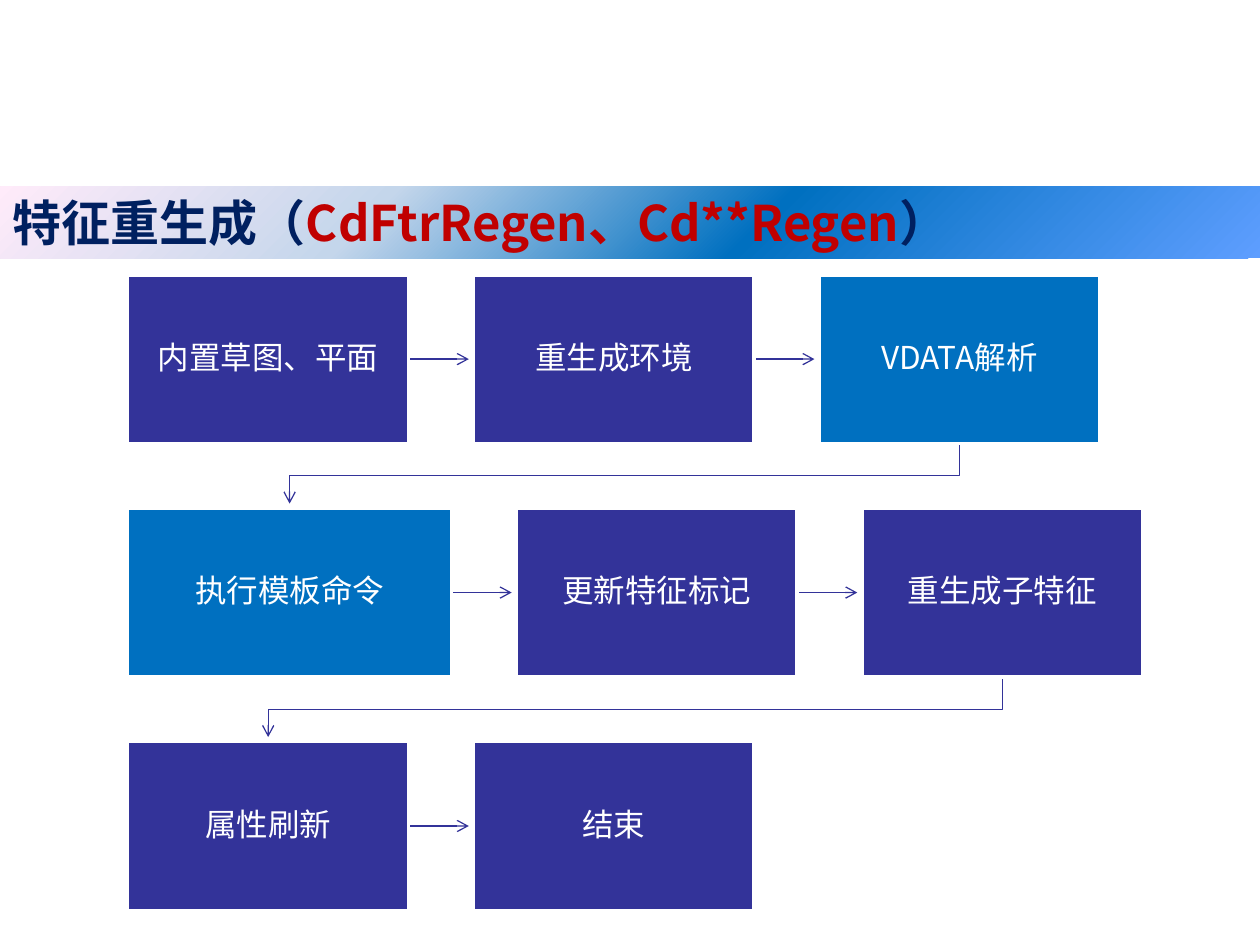
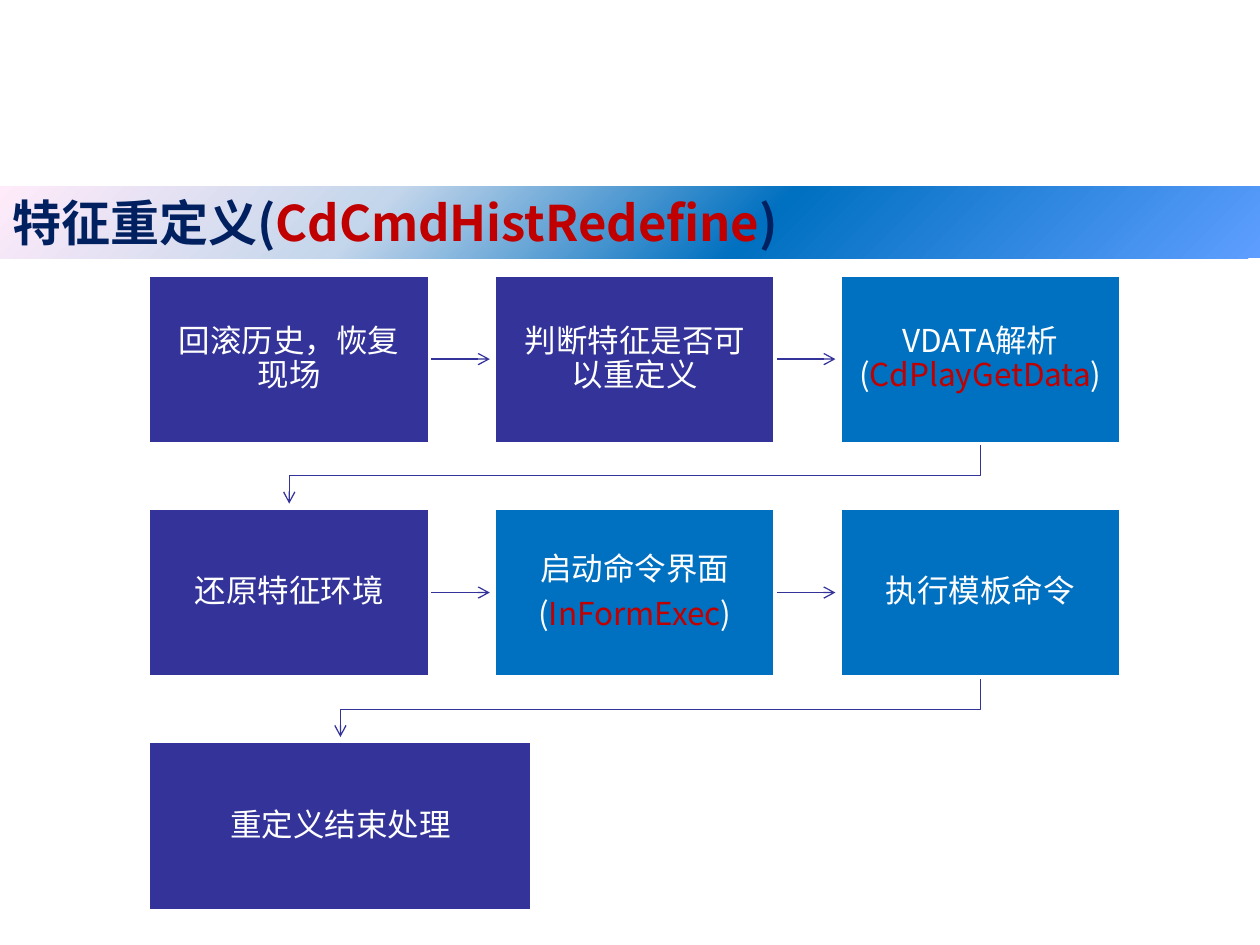
from lxml.etree import SubElement
from pptx import Presentation
from pptx.dml.color import RGBColor
from pptx.enum.shapes import MSO_CONNECTOR, MSO_SHAPE
from pptx.enum.text import MSO_ANCHOR, PP_ALIGN
from pptx.oxml.ns import qn
from pptx.util import Pt

# Colours
WHITE = RGBColor(0xFF, 0xFF, 0xFF)
INDIGO = RGBColor(0x33, 0x33, 0x99)
BLUE = RGBColor(0x00, 0x70, 0xC0)
NAVY = RGBColor(0x00, 0x20, 0x60)
RED = RGBColor(0xC0, 0x00, 0x00)
SKY = RGBColor(0x5E, 0x9E, 0xFF)
PALE = RGBColor(0xC4, 0xD6, 0xEB)
PINK = RGBColor(0xFF, 0xEB, 0xFA)
STOPS = ((0, SKY), (40, BLUE), (70, PALE), (100, PINK))

# Shared formats
FONT = "Noto Sans CJK SC"
TITLE = {"size": Pt(28), "bold": True, "name": FONT}
LABEL = {"size": Pt(18), "name": FONT}
STEP = {"alignment": PP_ALIGN.CENTER, "line_spacing": 0.9, "space_after": Pt(6.3)}
INSET = Pt(10.2)
FRAME = {"word_wrap": True, "vertical_anchor": MSO_ANCHOR.MIDDLE}
PADS = {"margin_left": INSET, "margin_right": INSET,
        "margin_top": INSET, "margin_bottom": INSET}

# Sizes in points
BAND = (0, 106.6, 720, 41)
WIDE, HIGH, GAP = 160.5, 96.4, 37
TIP = 2.6  # space between an arrow tip and the next box
TOP = 157


def style(item, values):
    for key, value in values.items():
        setattr(item, key, value)


def write(para, text, font, color):
    """Write text; the parts between bars are red."""
    for index, part in enumerate(text.split("|")):
        if part:
            run = para.add_run()
            run.text = part
            style(run.font, font)
            run.font.color.rgb = RED if index % 2 else color
            SubElement(run.font._element, qn("a:ea"), typeface=FONT)


def rect(slide, left, top, width, height):
    shape = slide.shapes.add_shape(
        MSO_SHAPE.RECTANGLE, Pt(left), Pt(top), Pt(width), Pt(height))
    shape.shadow.inherit = False
    style(shape.text_frame, FRAME)
    return shape


def title(slide, text, box):
    band = rect(slide, *box)
    band.line.fill.background()
    # Four-stop gradient
    band.fill.gradient()
    band.fill.gradient_angle = 135
    stops = band._element.spPr.find(".//" + qn("a:gsLst"))
    stops.clear()
    for pos, color in STOPS:
        stop = SubElement(stops, qn("a:gs"), pos=str(pos * 1000))
        SubElement(stop, qn("a:srgbClr"), val=str(color))
    para = band.text_frame.paragraphs[0]
    para.alignment = PP_ALIGN.LEFT
    write(para, text, TITLE, NAVY)


def step(slide, text, color, box):
    shape = rect(slide, *box)
    shape.fill.solid()
    shape.fill.fore_color.rgb = color
    shape.line.color.rgb = WHITE
    shape.line.width = Pt(2)
    frame = shape.text_frame
    style(frame, PADS)
    for index, words in enumerate(text.split("\n")):
        para = frame.add_paragraph() if index else frame.paragraphs[0]
        style(para, STEP)
        write(para, words, LABEL, WHITE)
    return shape


def tip(line, box):
    """Give a line its colour and arrowhead, behind the box it leaves."""
    line.line.color.rgb = INDIGO
    line.line.width = Pt(0.75)
    SubElement(line.line._get_or_add_ln(), qn("a:tailEnd"), type="arrow")
    box._element.addprevious(line._element)


def arrow(slide, box):
    x, y = box.left + box.width, box.top + box.height // 2
    line = slide.shapes.add_connector(
        MSO_CONNECTOR.STRAIGHT, x, y, x + Pt(GAP - TIP), y)
    line.begin_connect(box, 3)
    SubElement(line._element.spPr, qn("a:effectLst"))
    tip(line, box)
    # The effect list belongs after the line format
    props = line._element.spPr
    props.append(props.find(qn("a:effectLst")))


def elbow(slide, box, goal):
    x, y = box.left + box.width // 2, box.top + box.height
    end = goal.left + goal.width // 2
    turn = y + Pt(GAP / 2)
    build = slide.shapes.build_freeform(x, y)
    build.add_line_segments(
        [(x, turn), (end, turn), (end, goal.top - Pt(TIP))], close=False)
    line = build.convert_to_shape()
    line.fill.background()
    line.shadow.inherit = False
    tip(line, box)


def flow(slide, rows, left, top):
    last = None
    for index, row in enumerate(rows):
        x, y = left, top + index * (HIGH + GAP)
        for place, (text, color, *width) in enumerate(row):
            wide = width[0] if width else WIDE
            box = step(slide, text, color, (x, y, wide, HIGH))
            if place:
                arrow(slide, last)
            elif last is not None:
                elbow(slide, last, box)
            last = box
            x += wide + GAP


REGEN = (
    (("内置草图、平面", INDIGO), ("重生成环境", INDIGO), ("VDATA解析", BLUE)),
    (("执行模板命令", BLUE, 185), ("更新特征标记", INDIGO), ("重生成子特征", INDIGO)),
    (("属性刷新", INDIGO), ("结束", INDIGO)),
)
REDEF = (
    (("回滚历史，恢复现场", INDIGO), ("判断特征是否可以重定义", INDIGO),
     ("VDATA解析(|CdPlayGetData|)", BLUE)),
    (("还原特征环境", INDIGO), ("启动命令界面\n(|InFormExec|)", BLUE),
     ("执行模板命令", BLUE)),
    (("重定义结束处理", INDIGO, 219),),
)
PAGES = (
    ("特征重生成（|CdFtrRegen、Cd**Regen|）", REGEN, 73),
    ("特征重定义(|CdCmdHistRedefine|)", REDEF, 85),
)


def main():
    deck = Presentation()
    style(deck, {"slide_width": Pt(720), "slide_height": Pt(540)})
    for text, rows, left in PAGES:
        slide = deck.slides.add_slide(deck.slide_layouts[6])
        title(slide, text, BAND)
        flow(slide, rows, left, TOP)
    deck.save("out.pptx")


if __name__ == "__main__":
    main()
